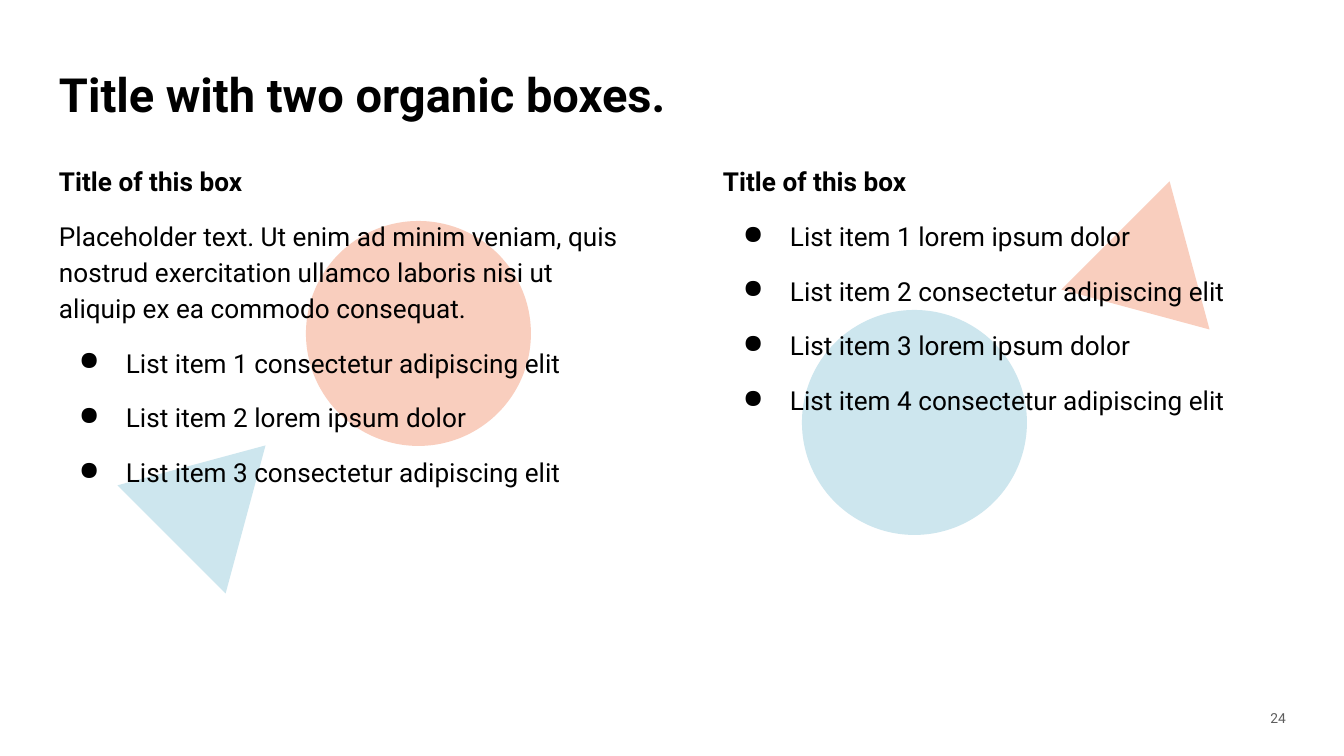
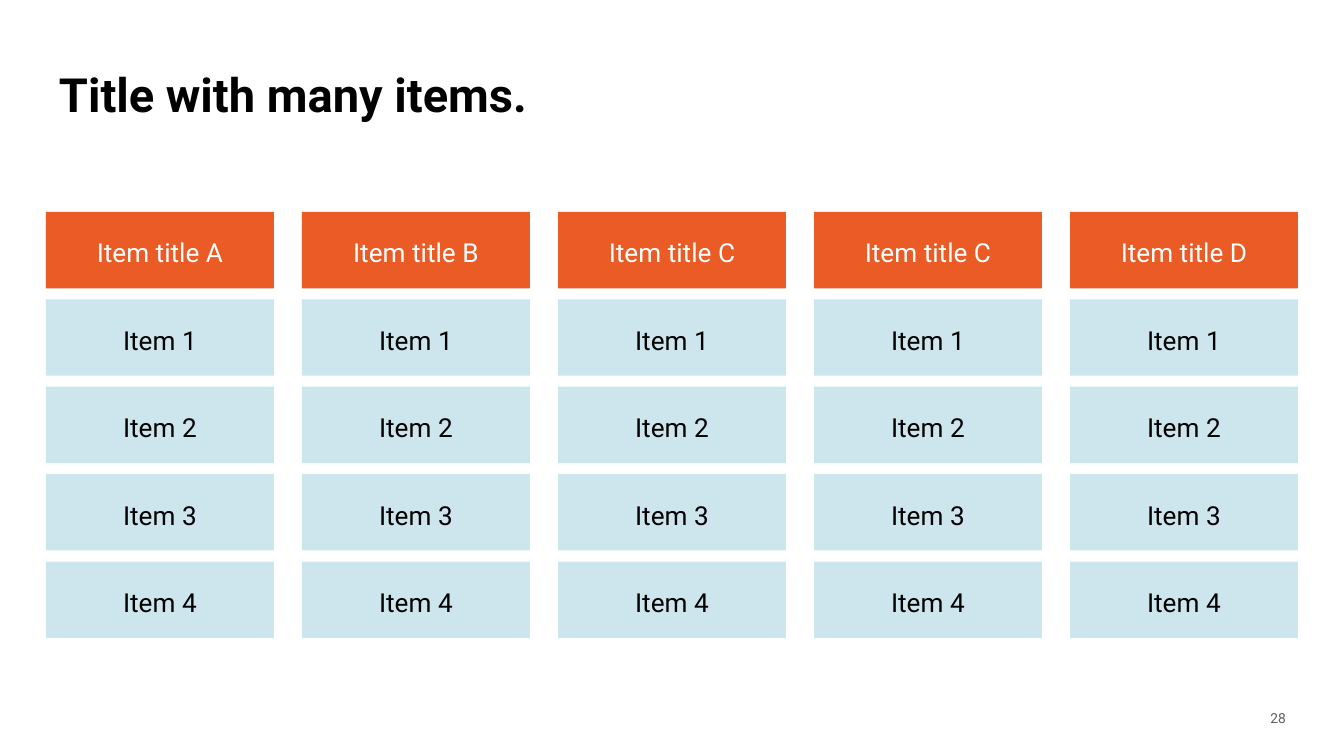
from lxml.etree import SubElement
from pptx import Presentation
from pptx.dml.color import RGBColor as Rgb
from pptx.enum.shapes import MSO_SHAPE as Kind
from pptx.enum.text import MSO_ANCHOR as Anchor, PP_ALIGN as Align
from pptx.oxml.ns import qn
from pptx.util import Pt

SCALE = 914400 / 134.4
FONT = "Roboto"
INK = {
    "black": "000000",
    "white": "FFFFFF",
    "grey": "5D5D5D",
    "orange": "EA5B25",
    "peach": "F9CEBE",
    "blue": "CDE6EE",
}


def px(n):
    return round(n * SCALE)


def color(name):
    return Rgb.from_string(INK[name])


def shape(slide, kind, box, fill, turn=0):
    item = slide.shapes.add_shape(kind, *map(px, box))
    item.shadow.inherit = False
    item.fill.solid()
    item.fill.fore_color.rgb = color(fill)
    item.line.fill.background()
    item.rotation = turn
    return item


def frame(item, anchor):
    text = item.text_frame
    text.word_wrap = True
    text.vertical_anchor = anchor
    text.margin_left = text.margin_right = px(13)
    text.margin_top = text.margin_bottom = px(13)
    return text


def label(slide, box, anchor=Anchor.MIDDLE):
    return frame(slide.shapes.add_textbox(*map(px, box)), anchor)


def bullet(para):
    props = para._p.get_or_add_pPr()
    props.set("marL", str(px(67)))
    props.set("indent", str(px(-47)))
    tint = SubElement(props, qn("a:buClr"))
    SubElement(tint, qn("a:srgbClr")).set("val", INK["black"])
    SubElement(props, qn("a:buChar")).set("char", "●")


def write(para, words, size=14, ink="black", bold=False, align=Align.LEFT,
          lead=1.15, before=0, after=0):
    para.alignment = align
    para.line_spacing = lead
    para.space_before, para.space_after = Pt(before), Pt(after)
    run = para.add_run()
    run.text = words
    font = run.font
    font.name, font.size, font.bold = FONT, Pt(size), bold
    font.color.rgb = color(ink)


def base(deck, title, number):
    slide = deck.slides.add_slide(deck.slide_layouts[6])
    head = label(slide, (46, 51, 1198, 85))
    write(head.paragraphs[0], title, 25.2, bold=True, lead=1.0)
    foot = label(slide, (1245, 700, 54, 40))
    write(foot.paragraphs[0], number, 7.4, "grey", align=Align.RIGHT, lead=0.8)
    return slide


def panel(slide, box, art, intro, items):
    left, top = box[:2]
    for kind, x, y, wide, high, fill, turn in art:
        shape(slide, kind, (left + x, top + y, wide, high), fill, turn)
    text = label(slide, box, Anchor.TOP)
    write(text.paragraphs[0], "Title of this box", bold=True)
    if intro:
        write(text.add_paragraph(), intro, before=10)
    for item in items:
        para = text.add_paragraph()
        bullet(para)
        write(para, item, before=10, after=10 if item == items[-1] else 0)


def grid(slide, box, heads, items, gap_x, gap_y):
    left, top, wide, high = box
    cols, rows = len(heads), len(items) + 1
    cell_w = (wide - gap_x * (cols - 1)) / cols
    cell_h = (high - gap_y * (rows - 1)) / rows
    for col, head in enumerate(heads):
        for row, words in enumerate([head, *items]):
            fill, ink = ("blue", "black") if row else ("orange", "white")
            x = left + col * (cell_w + gap_x)
            y = top + row * (cell_h + gap_y)
            cell = shape(slide, Kind.RECTANGLE, (x, y, cell_w, cell_h), fill)
            para = frame(cell, Anchor.MIDDLE).paragraphs[0]
            write(para, words, ink=ink, align=Align.CENTER, after=10)


def boxes(deck):
    slide = base(deck, "Title with two organic boxes.", "24")
    tri, disc = Kind.ISOSCELES_TRIANGLE, Kind.OVAL
    panel(
        slide, (46, 148, 587, 538),
        [(tri, 96, 278, 153, 133, "blue", 45),
         (disc, 260, 73, 225, 225, "peach", 0)],
        "Placeholder text. Ut enim ad minim veniam, quis nostrud exercitation "
        "ullamco laboris nisi ut aliquip ex ea commodo consequat.",
        ["List item 1 consectetur adipiscing elit",
         "List item 2 lorem ipsum dolor",
         "List item 3 consectetur adipiscing elit"],
    )
    panel(
        slide, (710, 148, 587, 538),
        [(tri, 376, 68, 153, 133, "peach", 135),
         (disc, 92, 162, 225, 225, "blue", 0)],
        "",
        ["List item 1 lorem ipsum dolor",
         "List item 2 consectetur adipiscing elit",
         "List item 3 lorem ipsum dolor",
         "List item 4 consectetur adipiscing elit"],
    )


def table(deck):
    slide = base(deck, "Title with many items.", "28")
    heads = [f"Item title {mark}" for mark in "ABCCD"]
    items = [f"Item {n}" for n in range(1, 5)]
    grid(slide, (46, 212, 1252, 426), heads, items, 28, 11)


def main():
    deck = Presentation()
    deck.slide_width, deck.slide_height = px(1344), px(756)
    boxes(deck)
    table(deck)
    deck.save("out.pptx")


if __name__ == "__main__":
    main()
